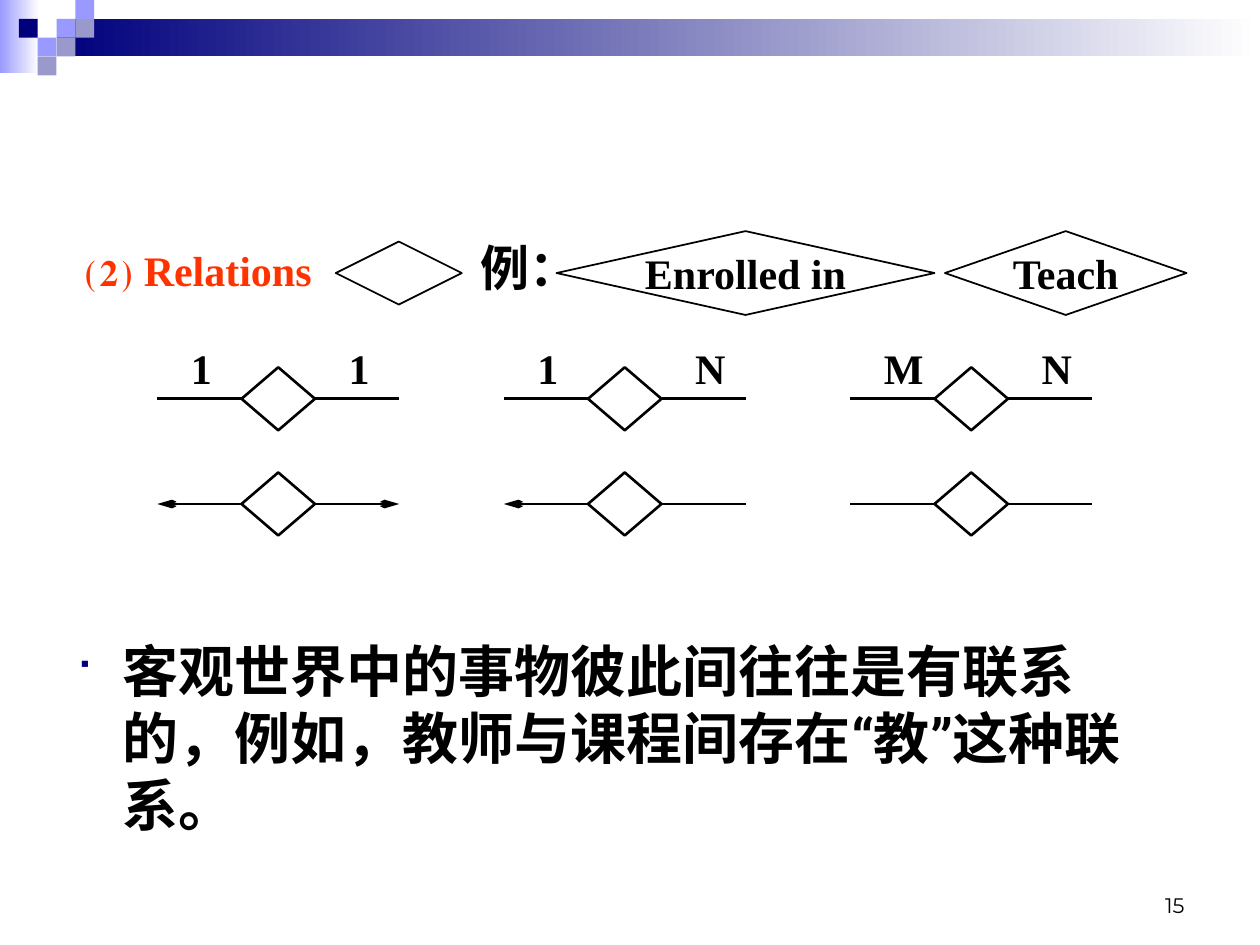
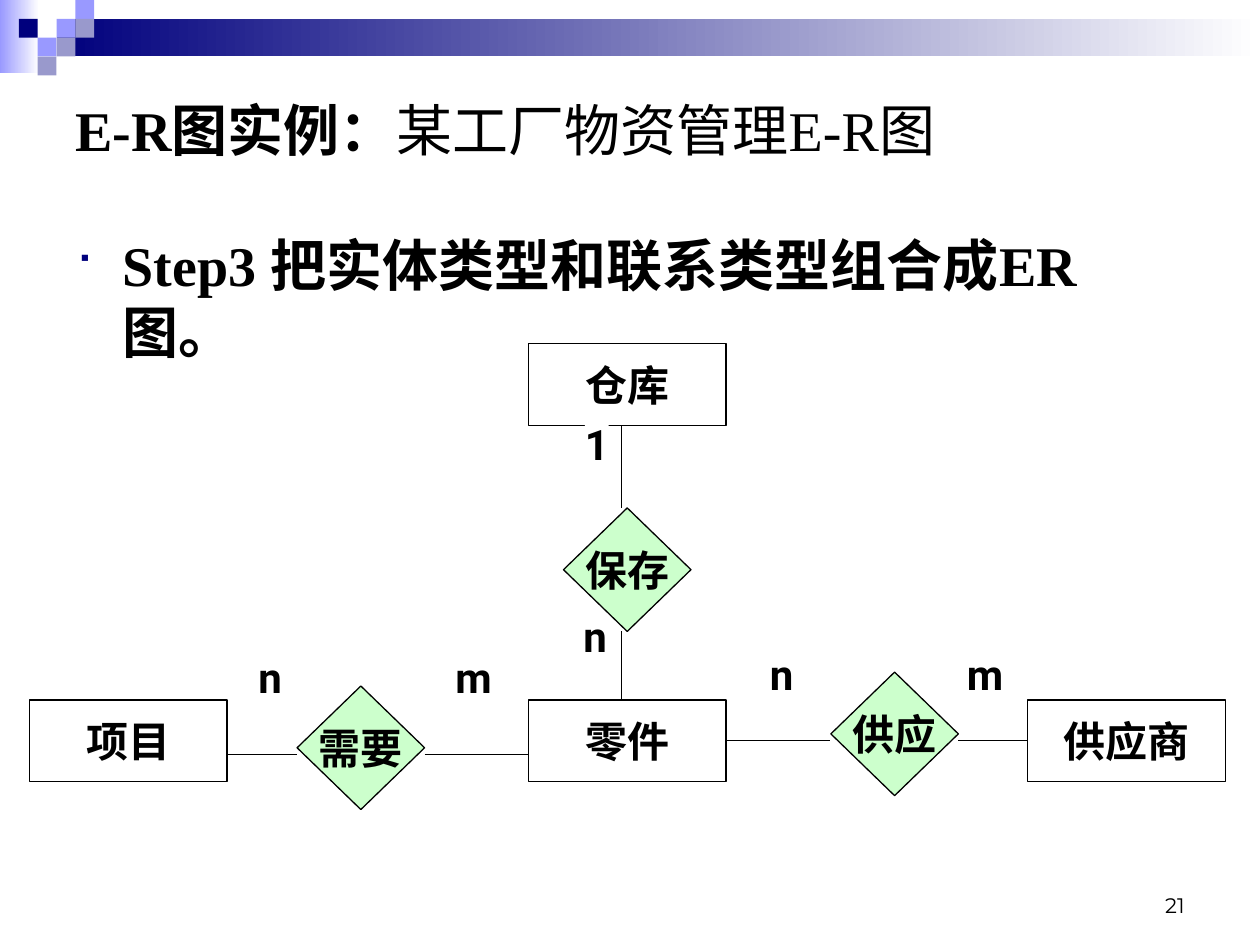
import pptx
import pptx.util
import pptx.dml.color
import pptx.enum.shapes
import pptx.enum.text
import pptx.oxml
import pptx.oxml.ns
from pptx.util import Cm

SHAPES = pptx.enum.shapes.MSO_SHAPE
ANCHORS = pptx.enum.text.MSO_ANCHOR
ALIGNMENTS = pptx.enum.text.PP_ALIGN

BLACK, WHITE, RED = "000000", "FFFFFF", "FF3300"
NAVY, LILAC, GREY_BLUE, MINT = "00007D", "9999FF", "9999CC", "CCFFCC"
SERIF, SANS, NUMBER_FONT = "Times New Roman", "Roboto", "Montserrat"


def rgb(value):
    return pptx.dml.color.RGBColor.from_string(value)


def add_xml(parent, markup):
    namespaces = pptx.oxml.ns.nsdecls("a")
    tag, rest = markup.split(" ", 1)
    parent.append(pptx.oxml.parse_xml(f"<a:{tag} {namespaces} {rest}"))


def add_run(paragraph, text, size=24, font=SERIF, color=BLACK, bold=True):
    run = paragraph.add_run()
    run.text = text
    run.font.size = pptx.util.Pt(size)
    run.font.name = font
    run.font.bold = bold
    run.font.color.rgb = rgb(color)
    add_xml(run.font._element, f'ea typeface="{SANS}"/>')


class Deck:
    def __init__(self):
        self.presentation = pptx.Presentation()
        self.presentation.slide_width = Cm(25.4)
        self.presentation.slide_height = Cm(19.05)
        self.slide = None

    def new_slide(self, number):
        self.slide = self.presentation.slides.add_slide(self.presentation.slide_layouts[6])
        self.gradient_band(0, 0, 0.79, 1.47, LILAC)
        self.gradient_band(1.14, 0.38, 24.26, 0.76, NAVY)
        cell = 0.38
        for column, row, color in [(3, 1, LILAC), (4, 0, LILAC), (4, 1, GREY_BLUE), (2, 2, LILAC),
                                   (1, 1, NAVY), (3, 2, GREY_BLUE), (2, 3, GREY_BLUE)]:
            self.shape(SHAPES.RECTANGLE, column * cell, row * cell, cell, cell, fill=color)
        self.text(18.21, 17.35, 5.92, 1.27, [(str(number), dict(size=12, font=NUMBER_FONT, bold=False))],
                  anchor=ANCHORS.BOTTOM, align=ALIGNMENTS.RIGHT)

    def shape(self, kind, left, top, width, height, fill=None, line=None, text=None, font=SERIF):
        shape = self.slide.shapes.add_shape(kind, Cm(left), Cm(top), Cm(width), Cm(height))
        shape.shadow.inherit = False
        if fill:
            shape.fill.solid()
            shape.fill.fore_color.rgb = rgb(fill)
        else:
            shape.fill.background()
        if line:
            shape.line.color.rgb = rgb(BLACK)
            shape.line.width = pptx.util.Pt(line)
        else:
            shape.line.fill.background()
        if text:
            frame = shape.text_frame
            frame.word_wrap = False
            frame.vertical_anchor = ANCHORS.MIDDLE
            frame.margin_left = frame.margin_right = frame.margin_top = frame.margin_bottom = 0
            frame.paragraphs[0].alignment = ALIGNMENTS.CENTER
            add_run(frame.paragraphs[0], text, font=font)
        return shape

    def gradient_band(self, left, top, width, height, color):
        band = self.shape(SHAPES.RECTANGLE, left, top, width, height)
        band.fill.gradient()
        band.fill.gradient_angle = 0
        for stop, stop_color in zip(band.fill.gradient_stops, (color, WHITE)):
            stop.color.rgb = rgb(stop_color)

    def text(self, left, top, width, height, runs, anchor=ANCHORS.TOP, align=ALIGNMENTS.LEFT,
             inset=True, fill=None, tab=None):
        box = self.slide.shapes.add_textbox(Cm(left), Cm(top), Cm(width), Cm(height))
        if fill:
            box.fill.solid()
            box.fill.fore_color.rgb = rgb(fill)
        frame = box.text_frame
        frame.word_wrap = True
        frame.vertical_anchor = anchor
        if not inset:
            frame.margin_left = frame.margin_right = frame.margin_top = frame.margin_bottom = 0
        paragraph = frame.paragraphs[0]
        paragraph.alignment = align
        if tab:
            add_xml(paragraph._p.get_or_add_pPr(),
                    f'tabLst ><a:tab pos="{Cm(tab)}" algn="l"/></a:tabLst>')
        for content, style in runs:
            add_run(paragraph, content, **style)
        return paragraph

    def bullet(self, top, height, content):
        paragraph = self.text(1.27, top, 22.86, height, [(content, dict(size=32))])
        properties = paragraph._p.get_or_add_pPr()
        properties.set("marL", str(Cm(0.95)))
        properties.set("indent", str(-Cm(0.95)))
        properties.set("hangingPunct", "0")
        add_xml(properties, f'buClr ><a:srgbClr val="{NAVY}"/></a:buClr>')
        add_xml(properties, 'buSzPct val="75000"/>')
        add_xml(properties, 'buFont typeface="Wingdings" charset="2"/>')
        add_xml(properties, 'buChar char="■"/>')

    def line(self, start_x, start_y, end_x, end_y, width, arrow=False):
        connector = self.slide.shapes.add_connector(
            pptx.enum.shapes.MSO_CONNECTOR.STRAIGHT, Cm(start_x), Cm(start_y), Cm(end_x), Cm(end_y))
        connector.line.color.rgb = rgb(BLACK)
        connector.line.width = pptx.util.Pt(width)
        if arrow:
            add_xml(connector.line._get_or_add_ln(), 'tailEnd type="arrow" w="sm" len="lg"/>')
        add_xml(connector._element.spPr, "effectLst />")

    def relation(self, left, middle, left_arrow=False, right_arrow=False):
        arm, width, height = 1.7, 1.48, 1.27
        diamond_left = left + arm
        diamond_right = diamond_left + width
        self.line(diamond_right, middle, diamond_right + arm, middle, 1.5, right_arrow)
        self.line(diamond_left, middle, left, middle, 1.5, left_arrow)
        self.shape(SHAPES.DIAMOND, diamond_left, middle - height / 2, width, height, line=1.5)


def build_relations(deck):
    deck.new_slide(15)
    deck.bullet(12.7, 4.2, "客观世界中的事物彼此间往往是有联系的，例如，教师与课程间存在“教”这种联系。")
    deck.text(1.48, 4.66, 11, 1.44, [("⑵ ", dict(size=28, color=RED)), ("Relations\t", dict(color=RED)),
                                     ("例：", dict(size=28))], tab=7.95)
    deck.shape(SHAPES.DIAMOND, 6.77, 4.87, 2.54, 1.27, line=1)
    deck.shape(SHAPES.DIAMOND, 11.22, 4.66, 7.62, 1.69, line=1, text="Enrolled in")
    deck.shape(SHAPES.DIAMOND, 19.05, 4.66, 4.87, 1.69, line=1, text="Teach")
    cardinalities = [("1", "1", True, True), ("1", "N", True, False), ("M", "N", False, False)]
    for index, (left_label, right_label, left_arrow, right_arrow) in enumerate(cardinalities):
        left = 3.17 + index * 6.985
        deck.relation(left, 8.04)
        deck.text(left + 0.43, 6.77, 0.85, 1.27, [(left_label, {})])
        deck.text(left + 3.61, 6.77, 0.85, 1.27, [(right_label, {})])
        deck.relation(left, 10.16, left_arrow, right_arrow)


def build_factory_diagram(deck):
    deck.new_slide(21)
    deck.text(1.27, 1.27, 22.86, 2.67, [("E-R图实例：", dict(size=32)),
                                        ("某工厂物资管理E-R图", dict(size=32, bold=False))],
              anchor=ANCHORS.MIDDLE)
    deck.bullet(4.52, 3, "Step3 把实体类型和联系类型组合成ER图。")
    for name, left, top in [("保存", 11.36, 10.24), ("供应", 16.75, 13.55), ("需要", 5.99, 13.83)]:
        deck.shape(SHAPES.DIAMOND, left, top, 2.57, 2.49, MINT, 0.75, name, SANS)
    for name, column, top in [("项目", 0, 14.11), ("仓库", 1, 6.93), ("零件", 1, 14.11), ("供应商", 2, 14.11)]:
        deck.shape(SHAPES.RECTANGLE, 0.6 + column * 10.06, top, 3.98, 1.65, WHITE, 0.75, name, SANS)
    for ends in [(12.53, 10.24, 12.53, 8.59), (12.53, 12.73, 12.53, 14.1),
                 (5.98, 15.21, 4.57, 15.21), (8.56, 15.21, 10.66, 15.21),
                 (14.63, 14.93, 16.74, 14.93), (19.32, 14.93, 20.73, 14.93)]:
        deck.line(*ends, 0.75)
    label_widths = {"1": 0.48, "n": 0.56, "m": 0.84}
    for label, left, top in [("1", 11.79, 8.43), ("n", 11.76, 12.3), ("n", 5.21, 13.13),
                             ("m", 9.18, 13.13), ("n", 15.52, 13.08), ("m", 19.49, 13.08)]:
        deck.text(left, top, label_widths[label], 1.02, [(label, dict(font=SANS))], inset=False,
                  fill=WHITE if label == "1" else None)


def main():
    deck = Deck()
    build_relations(deck)
    build_factory_diagram(deck)
    deck.presentation.save("out.pptx")


if __name__ == "__main__":
    main()
